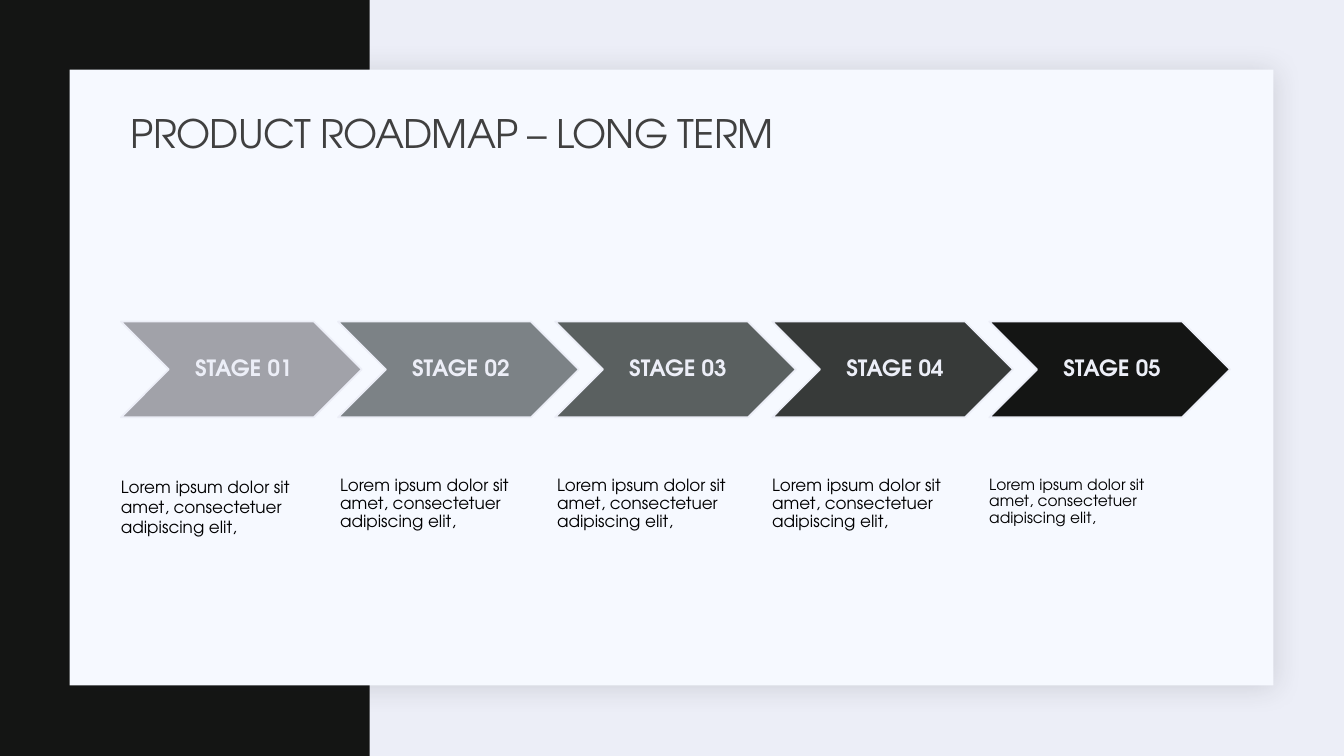
from lxml import etree
from pptx import Presentation
from pptx import util as u
from pptx.dml import color
from pptx.enum import shapes, text
from pptx.oxml import ns

WIDTH, HEIGHT = 13.33, 7.5
FONT = "TeX Gyre Adventor"
INK, MIST = "141514", "ECEEF7"
PITCH = 2.153
BLURB = "Lorem ipsum dolor sit amet, consectetuer adipiscing elit,"
STAGES = [
    ("STAGE 01", "A1A2A9", {"size": 12, "spacing": 1.0, "indent": 0}),
    ("STAGE 02", "7C8286", {"size": 12, "spacing": 0.9, "indent": 0.02}),
    ("STAGE 03", "5A6060", {"size": 12, "spacing": 0.9, "indent": 0.02}),
    ("STAGE 04", "373A39", {"size": 12, "spacing": 0.9, "indent": 0}),
    ("STAGE 05", INK, {"size": 11, "spacing": 0.9, "indent": 0}),
]


def rgb(value):
    """Turn a hex string into a colour."""
    return color.RGBColor.from_string(value)


def apply(target, values):
    """Set every attribute named in a dict."""
    for name, value in values.items():
        setattr(target, name, value)


def write(shape, words, size, hue, insets, spacing=0.9, bold=False, indent=0,
          anchor=text.MSO_ANCHOR.MIDDLE, align=text.PP_ALIGN.LEFT):
    """Write one formatted paragraph into a shape and return its run."""
    frame = shape.text_frame
    sides = ("margin_left", "margin_top", "margin_right", "margin_bottom")
    apply(frame, {"word_wrap": True, "vertical_anchor": anchor})
    apply(frame, {side: u.Inches(inset) for side, inset in zip(sides, insets)})
    paragraph = frame.paragraphs[0]
    apply(paragraph, {"alignment": align, "line_spacing": spacing})
    if indent:
        paragraph._p.get_or_add_pPr().set("marL", str(u.Inches(indent)))
    run = paragraph.add_run()
    run.text = words
    apply(run.font, {"name": FONT, "size": u.Pt(size), "bold": bold})
    run.font.color.rgb = rgb(hue)
    return run


def add_block(slide, kind, box, fill, line=None):
    """Add a filled preset shape, outlined only if a line colour is given."""
    shape = slide.shapes.add_shape(kind, *map(u.Inches, box))
    shape.shadow.inherit = False
    shape.fill.solid()
    shape.fill.fore_color.rgb = rgb(fill)
    if line:
        shape.line.color.rgb = rgb(line)
        shape.line.width = u.Pt(1.25)
    else:
        shape.line.fill.background()
    return shape


def add_shadow(shape, hue, alpha, blur, distance, angle):
    """Give a shape a soft outer shadow."""
    effects = shape._element.spPr.find(ns.qn("a:effectLst"))
    shadow = etree.SubElement(
        effects, ns.qn("a:outerShdw"), blurRad=str(u.Pt(blur)),
        dist=str(u.Pt(distance)), dir=str(angle * 60000), algn="tl", rotWithShape="0")
    tint = etree.SubElement(shadow, ns.qn("a:srgbClr"), val=hue)
    etree.SubElement(tint, ns.qn("a:alpha"), val=str(alpha * 1000))


def draw_backdrop(slide, box):
    """Draw the background, the dark side band and the raised card."""
    left, top, width, height = box
    slide.background.fill.solid()
    slide.background.fill.fore_color.rgb = rgb(MIST)
    rectangle = shapes.MSO_SHAPE.RECTANGLE
    add_block(slide, rectangle, (left, top, width * 0.275, height), INK)
    margin = 0.69
    card = add_block(slide, rectangle, (left + margin, top + margin, 11.94, 6.11), "F6F9FF")
    add_shadow(card, "1F2125", 15, 20, 2, 45)


def draw_title(slide, box):
    """Draw the slide title."""
    title = slide.shapes.add_textbox(*map(u.Inches, box))
    run = write(title, "PRODUCT ROADMAP – LONG TERM", 28, "404040", (0.1, 0.05, 0.1, 0.05))
    run._r.get_or_add_rPr().set("spc", "-50")


def draw_stage(slide, box, label, fill, blurb_format):
    """Draw one chevron with its label and the blurb below it."""
    left, top, width, height = box
    chevron_height = 0.95
    chevron = add_block(slide, shapes.MSO_SHAPE.CHEVRON,
                        (left, top, width, chevron_height), fill, MIST)
    write(chevron, label, 16, MIST, (0.07, 0.02, 0.02, 0.02), bold=True,
          align=text.PP_ALIGN.CENTER)
    blurb_height = 1.28
    blurb = slide.shapes.add_textbox(*map(u.Inches, (
        left, top + height - blurb_height, width * 0.8, blurb_height)))
    write(blurb, BLURB, hue="000000", insets=(0, 0.47, 0, 0),
          anchor=text.MSO_ANCHOR.TOP, **blurb_format)


def draw_roadmap(slide, box):
    """Draw the stages side by side at an equal pitch."""
    left, top, width, height = box
    stage_width = width - PITCH * (len(STAGES) - 1)
    for column, stage in enumerate(STAGES):
        draw_stage(slide, (left + column * PITCH, top, stage_width, height), *stage)


def main():
    """Build the roadmap slide and save it."""
    presentation = Presentation()
    apply(presentation, {"slide_width": u.Inches(WIDTH), "slide_height": u.Inches(HEIGHT)})
    slide = presentation.slides.add_slide(presentation.slide_layouts[6])
    draw_backdrop(slide, (0, 0, WIDTH, HEIGHT))
    draw_roadmap(slide, (1.2, 3.19, 11, 2.35))
    draw_title(slide, (1.2, 1.03, 11, 0.64))
    presentation.save("out.pptx")


if __name__ == "__main__":
    main()
